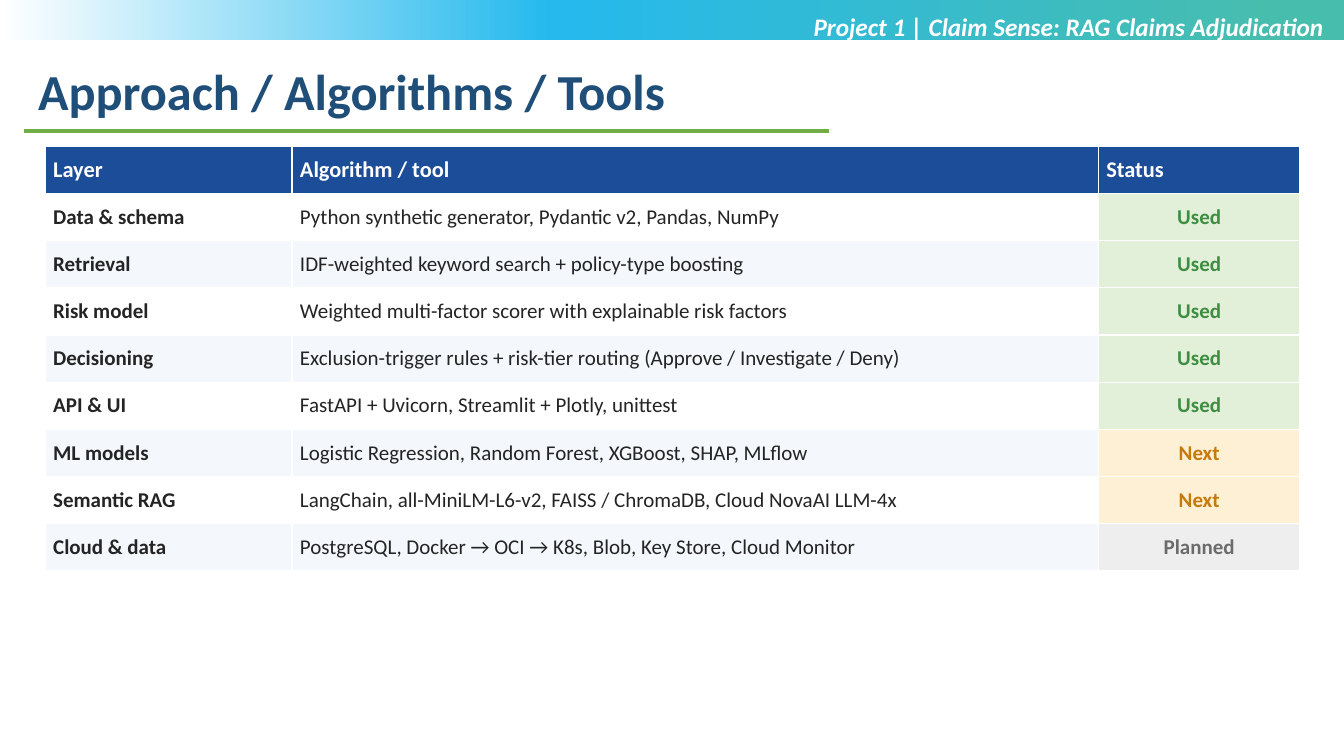
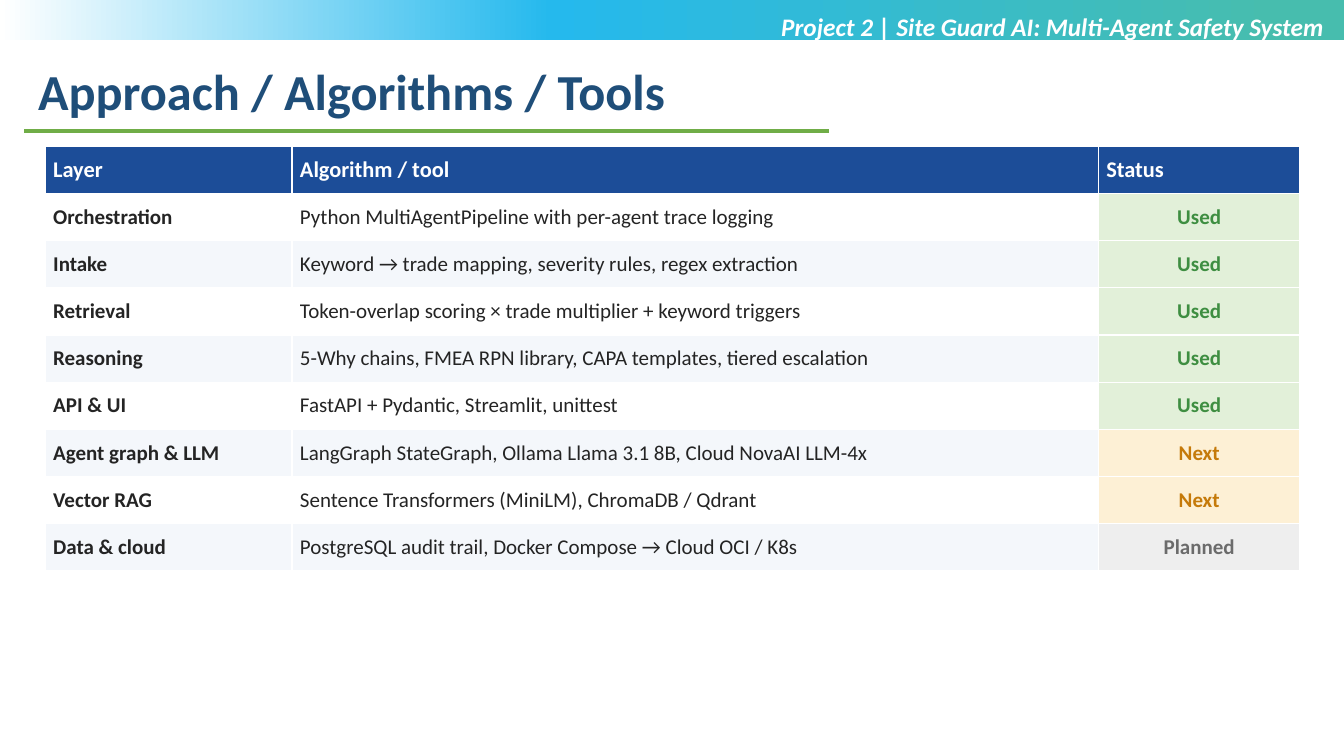
from copy import deepcopy

from lxml.etree import SubElement
from pptx import Presentation
from pptx.dml.color import RGBColor
from pptx.enum.shapes import MSO_CONNECTOR as Conn, MSO_SHAPE as Shape
from pptx.enum.text import MSO_ANCHOR as Anchor, PP_ALIGN as Align
from pptx.oxml.ns import qn
from pptx.util import Cm, Pt

# Shared look
FONT = "Calibri"
WHITE = RGBColor(0xFF, 0xFF, 0xFF)
TEAL = RGBColor(0x47, 0xBD, 0xAE)
SKY = RGBColor(0x25, 0xB9, 0xED)
NAVY = RGBColor(0x1F, 0x4E, 0x79)
LEAF = RGBColor(0x70, 0xAD, 0x47)
BLUE = RGBColor(0x1C, 0x4D, 0x98)
INK = RGBColor(0x24, 0x24, 0x24)
PALE = RGBColor(0xF4, 0xF7, 0xFB)

# Status: text colour, cell fill
STATUS = {
    "Used": (RGBColor(0x3E, 0x8E, 0x41), RGBColor(0xE2, 0xF0, 0xD9)),
    "Next": (RGBColor(0xC5, 0x7A, 0x0A), RGBColor(0xFD, 0xF0, 0xD5)),
    "Planned": (RGBColor(0x6B, 0x6B, 0x6B), RGBColor(0xEE, 0xEE, 0xEE)),
}

WIDTH, HEIGHT = 33.87, 19.05
STOPS = [(0.05, TEAL), (0.59, SKY), (1, WHITE)]
COLS = [6.22, 20.32, 5.08]
ROW = 1.19

# Content
TITLE = "Approach / Algorithms / Tools"
HEAD = ("Layer", "Algorithm / tool", "Status")
CLAIMS = [
    ("Data & schema", "Python synthetic generator, Pydantic v2, Pandas, NumPy", "Used"),
    ("Retrieval", "IDF-weighted keyword search + policy-type boosting", "Used"),
    ("Risk model", "Weighted multi-factor scorer with explainable risk factors", "Used"),
    ("Decisioning",
     "Exclusion-trigger rules + risk-tier routing (Approve / Investigate / Deny)", "Used"),
    ("API & UI", "FastAPI + Uvicorn, Streamlit + Plotly, unittest", "Used"),
    ("ML models", "Logistic Regression, Random Forest, XGBoost, SHAP, MLflow", "Next"),
    ("Semantic RAG",
     "LangChain, all-MiniLM-L6-v2, FAISS / ChromaDB, Cloud NovaAI LLM-4x", "Next"),
    ("Cloud & data",
     "PostgreSQL, Docker → OCI → K8s, Blob, Key Store, Cloud Monitor", "Planned"),
]
SAFETY = [
    ("Orchestration", "Python MultiAgentPipeline with per-agent trace logging", "Used"),
    ("Intake", "Keyword → trade mapping, severity rules, regex extraction", "Used"),
    ("Retrieval", "Token-overlap scoring × trade multiplier + keyword triggers", "Used"),
    ("Reasoning",
     "5-Why chains, FMEA RPN library, CAPA templates, tiered escalation", "Used"),
    ("API & UI", "FastAPI + Pydantic, Streamlit, unittest", "Used"),
    ("Agent graph & LLM",
     "LangGraph StateGraph, Ollama Llama 3.1 8B, Cloud NovaAI LLM-4x", "Next"),
    ("Vector RAG", "Sentence Transformers (MiniLM), ChromaDB / Qdrant", "Next"),
    ("Data & cloud", "PostgreSQL audit trail, Docker Compose → Cloud OCI / K8s", "Planned"),
]
DECK = [
    ("Project 1 | Claim Sense: RAG Claims Adjudication", CLAIMS),
    ("Project 2 | Site Guard AI: Multi-Agent Safety System", SAFETY),
]


def put(frame, text, size, color, bold=True, italic=False, align=Align.LEFT):
    frame.text = text
    para = frame.paragraphs[0]
    para.alignment = align
    font = para.runs[0].font
    font.name, font.size = FONT, Pt(size)
    font.bold, font.italic = bold, italic
    font.color.rgb = color


def add_text(slide, box, text, size, color, **style):
    frame = slide.shapes.add_textbox(*map(Cm, box)).text_frame
    frame.word_wrap = True
    put(frame, text, size, color, **style)


def add_band(slide):
    band = slide.shapes.add_shape(Shape.RECTANGLE, 0, 0, Cm(WIDTH), Cm(1.02))
    band.shadow.inherit = False
    band.line.fill.background()
    band.fill.gradient()
    band.fill.gradient_angle = 180
    # A new gradient has two stops; a third is needed
    stops = band._element.spPr.find(qn("a:gradFill")).find(qn("a:gsLst"))
    stops.append(deepcopy(stops[0]))
    for stop, (place, color) in zip(band.fill.gradient_stops, STOPS):
        stop.position = place
        stop.color.rgb = color


def add_rule(slide):
    rule = slide.shapes.add_connector(
        Conn.STRAIGHT, Cm(0.61), Cm(3.3), Cm(20.9), Cm(3.3))
    rule.line.color.rgb = LEAF
    rule.line.width = Pt(2.25)
    SubElement(rule._element.spPr, qn("a:effectLst"))


def fill_cell(cell, fill, text, size, color, **style):
    cell.fill.solid()
    cell.fill.fore_color.rgb = fill
    cell.vertical_anchor = Anchor.MIDDLE
    cell.margin_left = cell.margin_right = Cm(0.2)
    cell.margin_top = cell.margin_bottom = Cm(0.08)
    put(cell.text_frame, text, size, color, **style)


def add_grid(slide, rows):
    count = len(rows) + 1
    grid = slide.shapes.add_table(
        count, len(COLS), Cm(1.14), Cm(3.68), Cm(sum(COLS)), Cm(ROW * count)).table
    for col, width in zip(grid.columns, COLS):
        col.width = Cm(width)
    for row in grid.rows:
        row.height = Cm(ROW)
    for i, text in enumerate(HEAD):
        fill_cell(grid.cell(0, i), BLUE, text, 16, WHITE)
    for i, (layer, tool, state) in enumerate(rows, 1):
        back = WHITE if i % 2 else PALE
        color, tint = STATUS[state]
        fill_cell(grid.cell(i, 0), back, layer, 15, INK)
        fill_cell(grid.cell(i, 1), back, tool, 15, INK, bold=False)
        fill_cell(grid.cell(i, 2), tint, state, 15, color, align=Align.CENTER)


def add_page(deck, label, rows):
    slide = deck.slides.add_slide(deck.slide_layouts[6])
    add_band(slide)
    add_text(slide, (0.71, 1.4, 29.51, 1.8), TITLE, 36, NAVY)
    add_rule(slide)
    add_text(slide, (10.67, 0.15, 22.94, 1.8), label, 18, WHITE,
             italic=True, align=Align.RIGHT)
    add_grid(slide, rows)


def main():
    deck = Presentation()
    deck.slide_width, deck.slide_height = Cm(WIDTH), Cm(HEIGHT)
    for label, rows in DECK:
        add_page(deck, label, rows)
    deck.save("out.pptx")


if __name__ == "__main__":
    main()
